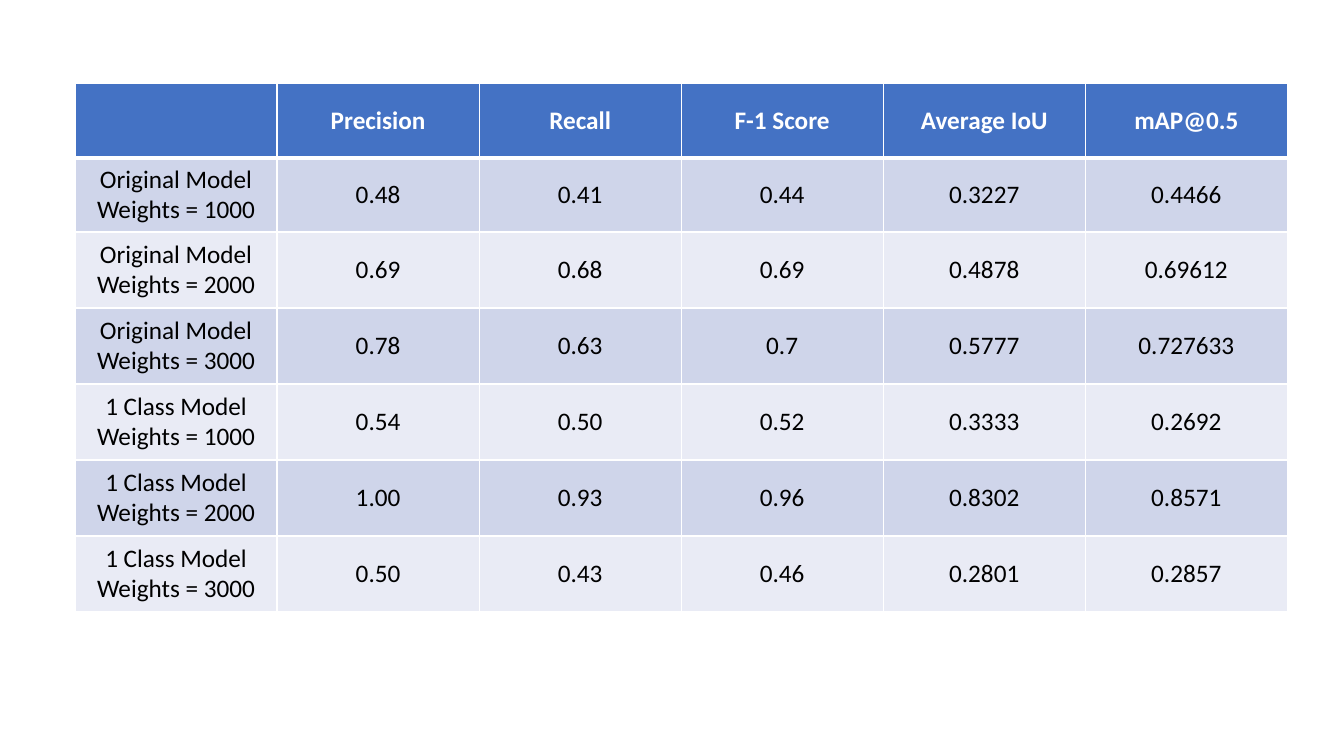
import pptx
import pptx.dml.color
import pptx.enum.text
import pptx.oxml
import pptx.oxml.ns
import pptx.util

EMU_PER_PIXEL = 914400 / 100.8
WHITE = "FFFFFF"
BLACK = "000000"
HEADER_FILL = "4472C4"
BAND_FILLS = ["CFD5EA", "E9EBF5"]

TABLE_LEFT, TABLE_TOP = 75, 83
COLUMN_WIDTH = 202
ROW_HEIGHTS = [75, 74] + [76] * 5

HEADERS = ["", "Precision", "Recall", "F-1 Score", "Average IoU", "mAP@0.5"]
RESULTS = [
    ["Original Model\nWeights = 1000", "0.48", "0.41", "0.44", "0.3227", "0.4466"],
    ["Original Model\nWeights = 2000", "0.69", "0.68", "0.69", "0.4878", "0.69612"],
    ["Original Model\nWeights = 3000", "0.78", "0.63", "0.7", "0.5777", "0.727633"],
    ["1 Class Model\nWeights = 1000", "0.54", "0.50", "0.52", "0.3333", "0.2692"],
    ["1 Class Model\nWeights = 2000", "1.00", "0.93", "0.96", "0.8302", "0.8571"],
    ["1 Class Model\nWeights = 3000", "0.50", "0.43", "0.46", "0.2801", "0.2857"],
]


def emu(pixels):
    return pptx.util.Emu(round(pixels * EMU_PER_PIXEL))


def color(value):
    return pptx.dml.color.RGBColor.from_string(value)


def write_text(frame, text, size=18, font="Calibri", fill=BLACK, bold=False):
    frame.text = text
    for para in frame.paragraphs:
        para.alignment = pptx.enum.text.PP_ALIGN.CENTER
        para.font.size = pptx.util.Pt(size)
        for span in para.runs:
            span.font.size = pptx.util.Pt(size)
            span.font.name = font
            span.font.bold = bold
            span.font.color.rgb = color(fill)


def set_borders(cell, top=1, bottom=1):
    properties = cell._tc.get_or_add_tcPr()
    for side, points in [("L", 1), ("R", 1), ("T", top), ("B", bottom)]:
        properties.append(pptx.oxml.parse_xml(
            f'<a:ln{side} {pptx.oxml.ns.nsdecls("a")} w="{pptx.util.Pt(points)}">'
            f'<a:solidFill><a:srgbClr val="{WHITE}"/></a:solidFill></a:ln{side}>'
        ))


def format_cell(cell, text, row):
    is_header = row == 0
    set_borders(cell, top=3 if row == 1 else 1, bottom=3 if is_header else 1)
    cell.fill.solid()
    cell.fill.fore_color.rgb = color(HEADER_FILL if is_header else BAND_FILLS[(row - 1) % 2])
    cell.vertical_anchor = pptx.enum.text.MSO_ANCHOR.MIDDLE
    write_text(cell.text_frame, text, fill=WHITE if is_header else BLACK, bold=is_header)


def add_results_table(page, rows):
    columns = len(rows[0])
    table = page.shapes.add_table(
        len(rows), columns, emu(TABLE_LEFT), emu(TABLE_TOP),
        emu(COLUMN_WIDTH * columns), emu(sum(ROW_HEIGHTS)),
    ).table
    for column in table.columns:
        column.width = emu(COLUMN_WIDTH)
    for row, texts in enumerate(rows):
        table.rows[row].height = emu(ROW_HEIGHTS[row])
        for column, text in enumerate(texts):
            format_cell(table.cell(row, column), text, row)


def main():
    deck = pptx.Presentation()
    deck.slide_width = pptx.util.Inches(13.33)
    deck.slide_height = pptx.util.Inches(7.5)
    page = deck.slides.add_slide(deck.slide_layouts[6])
    add_results_table(page, [HEADERS] + RESULTS)
    deck.save("out.pptx")


main()
